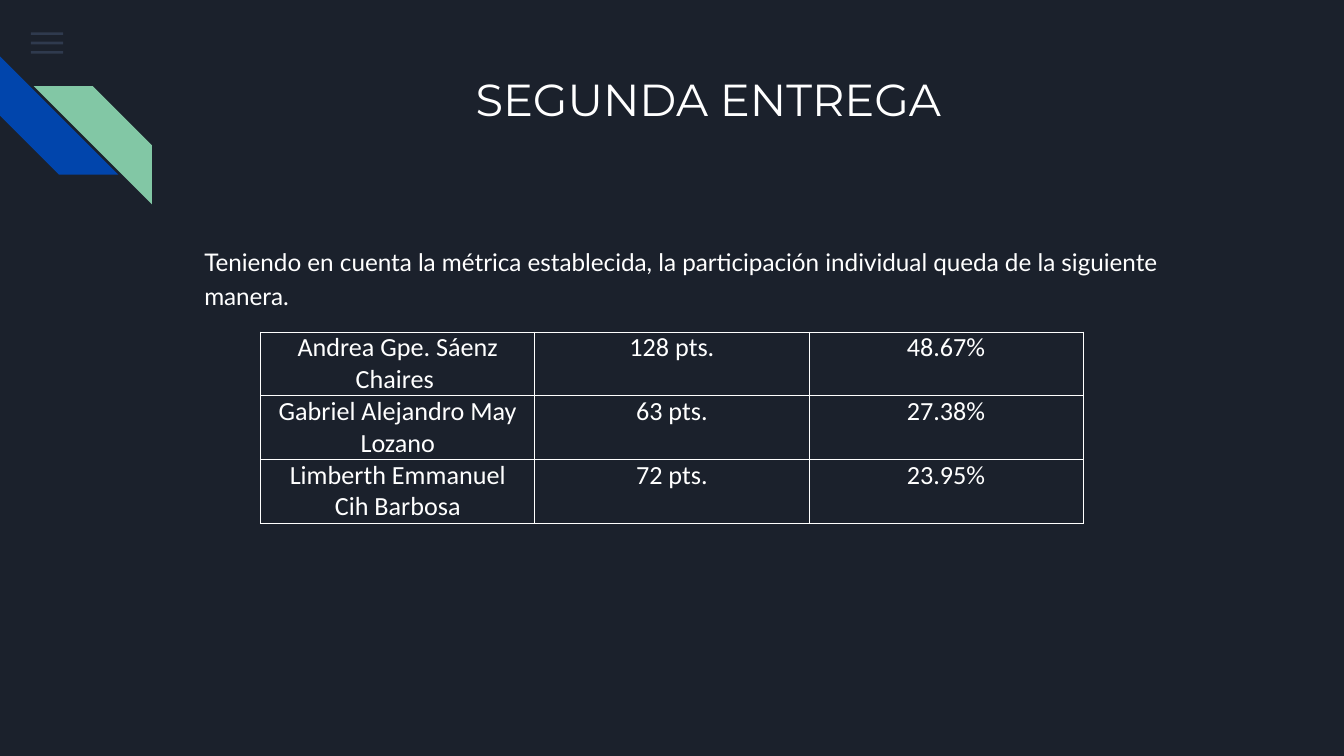
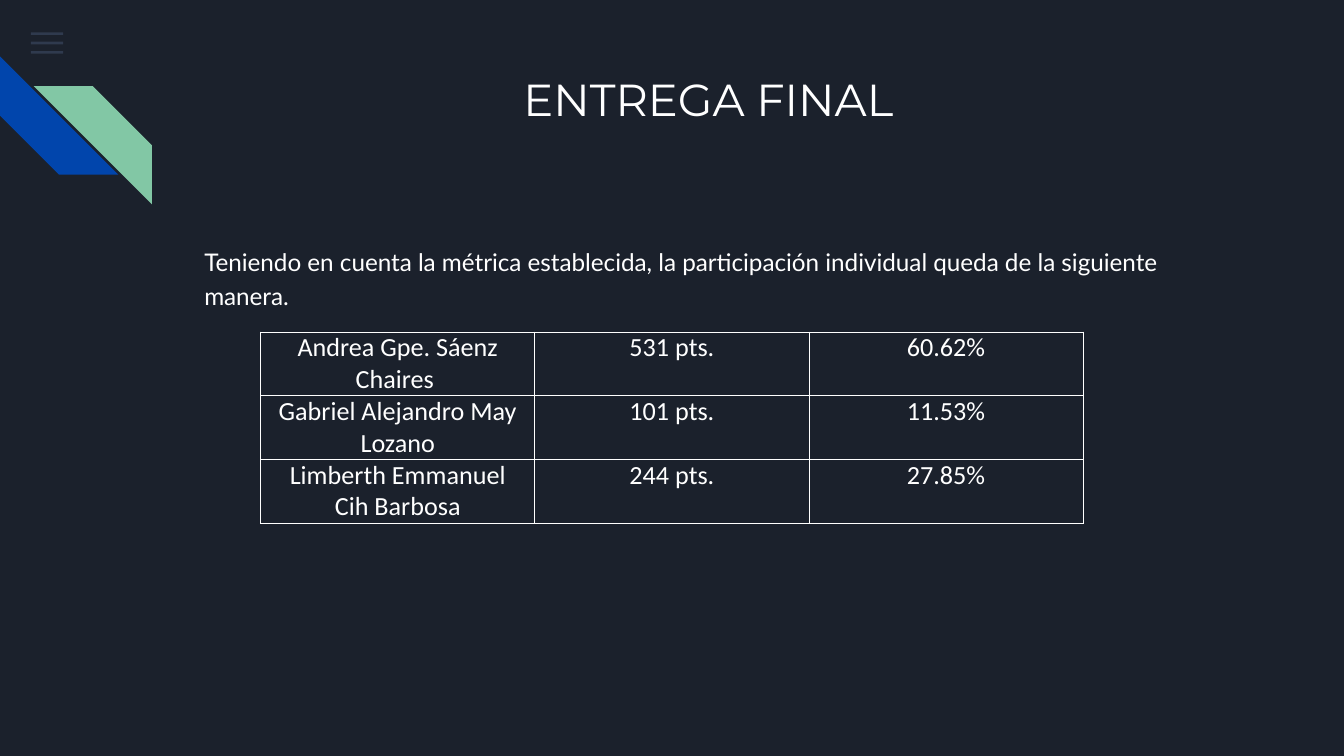
from lxml.etree import SubElement
from pptx import Presentation
from pptx.dml.color import RGBColor
from pptx.enum.shapes import MSO_SHAPE as Preset
from pptx.enum.text import MSO_ANCHOR as Anchor, MSO_AUTO_SIZE as AutoSize, PP_ALIGN as Align
from pptx.oxml.ns import qn
from pptx.util import Inches, Pt

# Shared style
COLORS = {
    "background": "1B212C",
    "menu": "55688B",
    "blue": "0145AC",
    "green": "82C7A5",
    "text": "FFFFFF",
}
WIDTH = 10
HEIGHT = WIDTH * 9 / 16
CONTENT_LEFT, CONTENT_WIDTH = 1.42, 7.7
INSET = 0.1
TABLE_TOP = 2.47
COLUMN_WIDTH, ROW_HEIGHT = 2.04, 0.25  # rows grow to fit their text
STRIPE_SIZE = 0.88

# Content
INTRODUCTION = (
    "Teniendo en cuenta la métrica establecida, la participación individual "
    "queda de la siguiente manera."
)
MEMBERS = ["Andrea Gpe. Sáenz Chaires ", "Gabriel Alejandro May Lozano", "Limberth Emmanuel Cih Barbosa"]
DELIVERIES = {
    "SEGUNDA ENTREGA": [("128 pts.", "48.67%"), ("63 pts.", "27.38%"), ("72 pts.", "23.95%")],
    "ENTREGA FINAL": [("531 pts.", "60.62%"), ("101 pts.", "11.53%"), ("244 pts.", "27.85%")],
}


def color(name):
    return RGBColor.from_string(COLORS[name])


def format_paragraph(paragraph, font_name, size, alignment=Align.LEFT):
    paragraph.alignment = alignment
    paragraph.font.name = font_name
    paragraph.font.size = Pt(size)
    paragraph.font.color.rgb = color("text")


# Shared decoration, kept on the layout
def add_decoration(slide, preset, box, fill):
    shape = slide.shapes.add_shape(preset, *map(Inches, box))
    shape.shadow.inherit = False
    shape.fill.solid()
    shape.fill.fore_color.rgb = color(fill)
    shape.line.fill.background()
    return shape


def move_to_layout(shape, layout):
    next_id = max(item.shape_id for item in layout.shapes) + 1
    shape.element.nvSpPr.cNvPr.set("id", str(next_id))
    layout.shapes.element.append(shape.element)


def decorate_layout(layout, slide):
    layout.background.fill.solid()
    layout.background.fill.fore_color.rgb = color("background")

    # Menu bars
    for row in range(3):
        bar = add_decoration(slide, Preset.RECTANGLE, (0.23, 0.24 + 0.07 * row, 0.24, 0.02), "menu")
        for rgb in bar.element.iter(qn("a:srgbClr")):
            SubElement(rgb, qn("a:alpha"), val="36000")
        move_to_layout(bar, layout)

    # Diagonal stripes
    blue, green = [
        add_decoration(slide, Preset.DIAGONAL_STRIPE, (left, top, STRIPE_SIZE, STRIPE_SIZE), fill)
        for left, top, fill in [(0, 0.42, "blue"), (0.25, 0.64, "green")]
    ]
    blue.rotation = 270
    green.element.spPr.xfrm.set("flipH", "1")
    for stripe in (blue, green):
        stripe.adjustments[0] = 0.5
        move_to_layout(stripe, layout)


# Slide elements
def fill_placeholder(placeholder, text, top, height):
    placeholder.left, placeholder.top = Inches(CONTENT_LEFT), Inches(top)
    placeholder.width, placeholder.height = Inches(CONTENT_WIDTH), Inches(height)
    frame = placeholder.text_frame
    frame.text = text
    frame.word_wrap = True
    frame.auto_size = AutoSize.NONE
    frame.vertical_anchor = Anchor.TOP
    frame.margin_left = frame.margin_right = Inches(INSET)
    frame.margin_top = frame.margin_bottom = Inches(INSET)
    return frame.paragraphs[0]


def add_title(slide, text):
    paragraph = fill_placeholder(slide.shapes.title, text, 0.43, 1)
    format_paragraph(paragraph, "Montserrat", 24, Align.CENTER)


def add_body(slide, text):
    paragraph = fill_placeholder(slide.placeholders[1], text, 1.71, 3.18)
    properties = paragraph._p.get_or_add_pPr()
    properties.set("marL", "0")
    properties.set("indent", "0")
    SubElement(properties, qn("a:buNone"))
    paragraph.line_spacing = 1.15
    paragraph.space_before = Pt(0)
    format_paragraph(paragraph, "Lato", 13)


def add_borders(cell):
    properties = cell._tc.get_or_add_tcPr()
    for side in ("lnL", "lnR", "lnT", "lnB"):
        line = SubElement(properties, qn(f"a:{side}"), w=str(Pt(0.5)))
        fill = SubElement(line, qn("a:solidFill"))
        SubElement(fill, qn("a:srgbClr"), val=COLORS["text"])


def add_score_table(slide, scores):
    rows = [(member, *score) for member, score in zip(MEMBERS, scores)]
    columns = len(rows[0])
    width = COLUMN_WIDTH * columns
    table = slide.shapes.add_table(
        len(rows), columns, Inches((WIDTH - width) / 2), Inches(TABLE_TOP),
        Inches(width), Inches(ROW_HEIGHT * len(rows)),
    ).table
    table.first_row = table.horz_banding = False
    for row, values in enumerate(rows):
        for column, value in enumerate(values):
            cell = table.cell(row, column)
            cell.text = value
            cell.margin_left = cell.margin_right = Inches(0.07)
            cell.margin_top = cell.margin_bottom = 0
            add_borders(cell)
            cell.fill.background()
            format_paragraph(cell.text_frame.paragraphs[0], "Calibri", 14, Align.CENTER)


def main():
    presentation = Presentation()
    presentation.slide_width, presentation.slide_height = Inches(WIDTH), Inches(HEIGHT)
    layout = presentation.slide_layouts[1]
    for number, (title, scores) in enumerate(DELIVERIES.items()):
        slide = presentation.slides.add_slide(layout)
        if number == 0:
            decorate_layout(layout, slide)
        add_title(slide, title)
        add_body(slide, INTRODUCTION)
        add_score_table(slide, scores)
    presentation.save("out.pptx")


if __name__ == "__main__":
    main()
